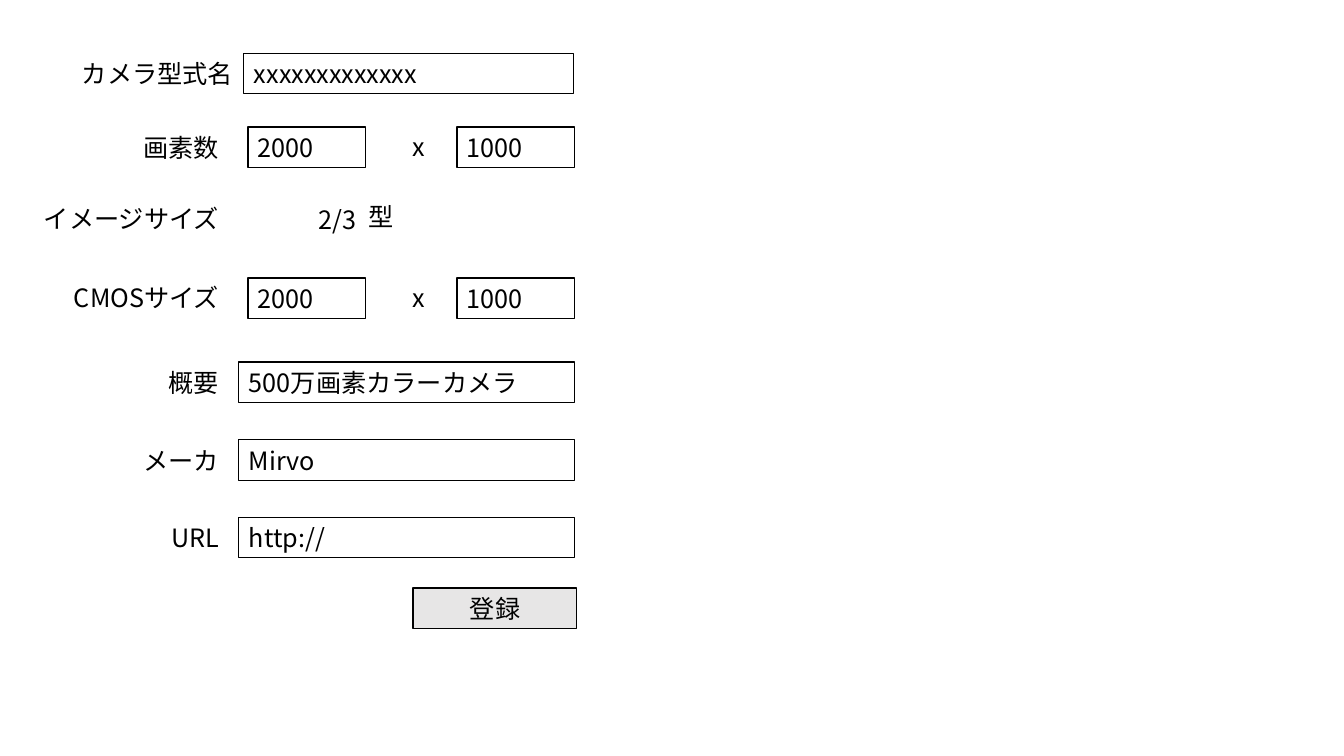
from lxml import etree
from pptx import Presentation
from pptx.dml.color import RGBColor
from pptx.enum.shapes import MSO_SHAPE
from pptx.enum.text import MSO_ANCHOR, MSO_AUTO_SIZE, PP_ALIGN
from pptx.oxml.ns import qn
from pptx.util import Pt

RECTANGLE = MSO_SHAPE.RECTANGLE
LEFT, CENTER, RIGHT = PP_ALIGN.LEFT, PP_ALIGN.CENTER, PP_ALIGN.RIGHT
MIDDLE, NO_AUTO_SIZE = MSO_ANCHOR.MIDDLE, MSO_AUTO_SIZE.NONE

EMU_PER_PIXEL = 914400 / 100.8
SLIDE_WIDTH, SLIDE_HEIGHT = 1344, 756
ROW_HEIGHT = 41
COLORS = {"ink": "000000", "button": "E7E6E6"}
FONT = "Noto Sans CJK JP"


def emu(pixels):
    """Turn pixels into EMU."""
    return round(pixels * EMU_PER_PIXEL)


def write_text(shape, text, align=LEFT, size=18, font=FONT, color="ink"):
    """Put one formatted line of text into a shape."""
    frame = shape.text_frame
    frame.word_wrap = True
    frame.auto_size = NO_AUTO_SIZE
    frame.vertical_anchor = MIDDLE
    paragraph = frame.paragraphs[0]
    paragraph.alignment = align
    run = paragraph.add_run()
    run.text = text
    run.font.size = Pt(size)
    run.font.name = font
    run.font.color.rgb = RGBColor.from_string(COLORS[color])
    properties = run._r.get_or_add_rPr()
    etree.SubElement(properties, qn("a:ea"), typeface=font)


class Form:
    """Holds the slide and draws the parts of an input form on it."""

    def __init__(self, slide):
        """Keep the slide to draw on."""
        self.slide = slide

    def label(self, text, left, top, width, align=LEFT):
        """Add plain text without a frame."""
        box = self.slide.shapes.add_textbox(
            emu(left), emu(top), emu(width), emu(ROW_HEIGHT))
        write_text(box, text, align=align)

    def field(self, text, left, top, width, align=LEFT, fill=None):
        """Add a framed box, empty or filled."""
        shape = self.slide.shapes.add_shape(
            RECTANGLE, emu(left), emu(top), emu(width), emu(ROW_HEIGHT))
        shape.shadow.inherit = False
        if fill:
            shape.fill.solid()
            shape.fill.fore_color.rgb = RGBColor.from_string(COLORS[fill])
        else:
            shape.fill.background()
        shape.line.color.rgb = RGBColor.from_string(COLORS["ink"])
        shape.line.width = Pt(0.75)
        write_text(shape, text, align=align)

    def size_pair(self, top):
        """Add the width and height fields with an x between them."""
        self.field("2000", 248, top, 118)
        self.label("x", 403, top - 1, 60)
        self.field("1000", 457, top, 118)


presentation = Presentation()
presentation.slide_width = emu(SLIDE_WIDTH)
presentation.slide_height = emu(SLIDE_HEIGHT)
form = Form(presentation.slides.add_slide(presentation.slide_layouts[6]))

form.label("カメラ型式名", 22, 53, 221, align=RIGHT)
form.field("xxxxxxxxxxxxx", 244, 53, 330)

SIZE_LABELS = [("画素数", 127), ("イメージサイズ", 198), ("CMOSサイズ", 277)]
for name, top in SIZE_LABELS:
    form.label(name, 22, top, 207, align=RIGHT)
for top in (127, 278):
    form.size_pair(top)
form.label("2/3", 248, 199, 118, align=RIGHT)
form.label("型", 359, 196, 73)

DETAILS = [("概要", "500万画素カラーカメラ"), ("メーカ", "Mirvo"), ("URL", "http://")]
for row, (name, value) in enumerate(DETAILS):
    top = 362 + row * 77.5
    form.label(name, 65, top, 164, align=RIGHT)
    form.field(value, 239, top, 336)

form.field("登録", 413, 588, 164, align=CENTER, fill="button")

presentation.save("out.pptx")
